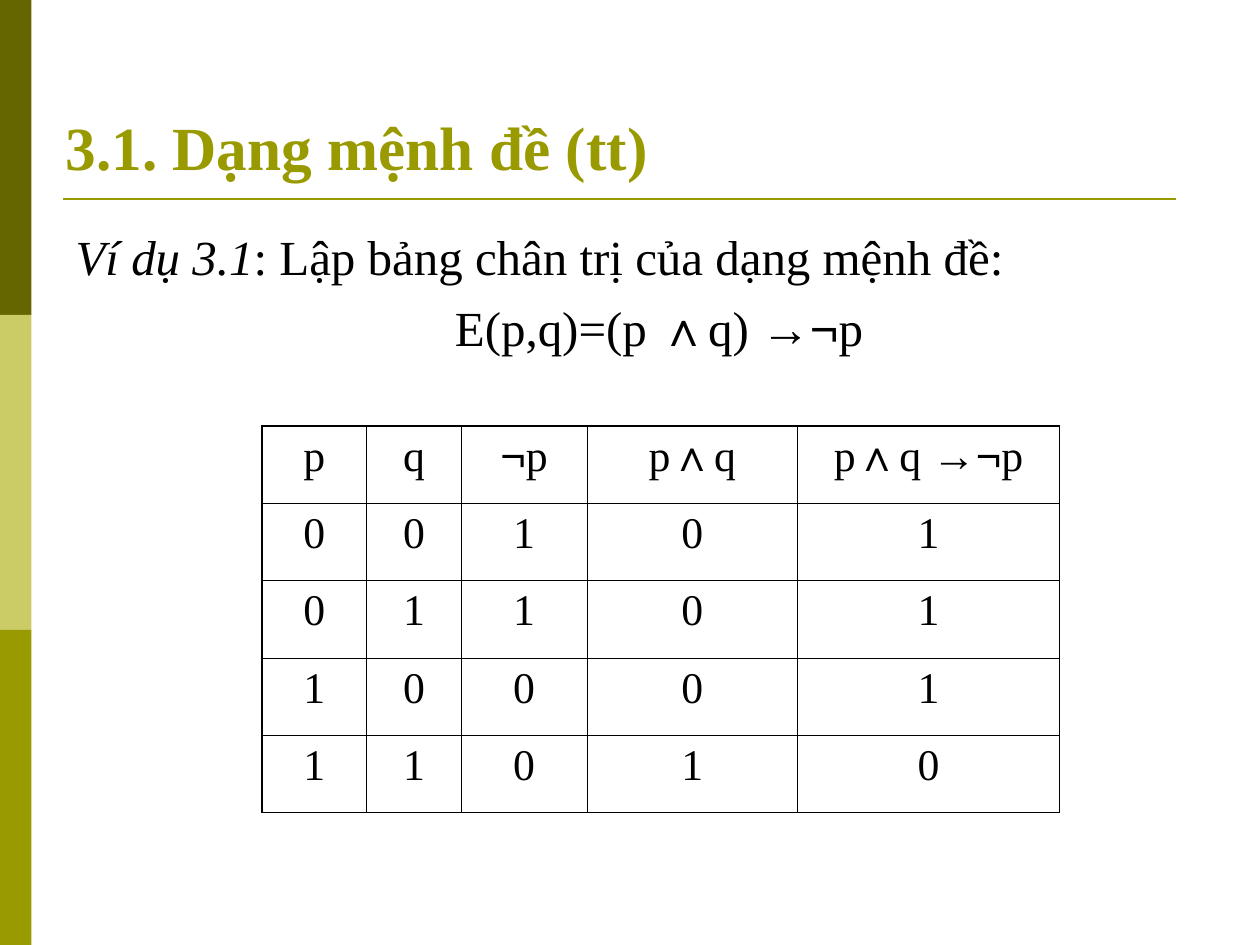
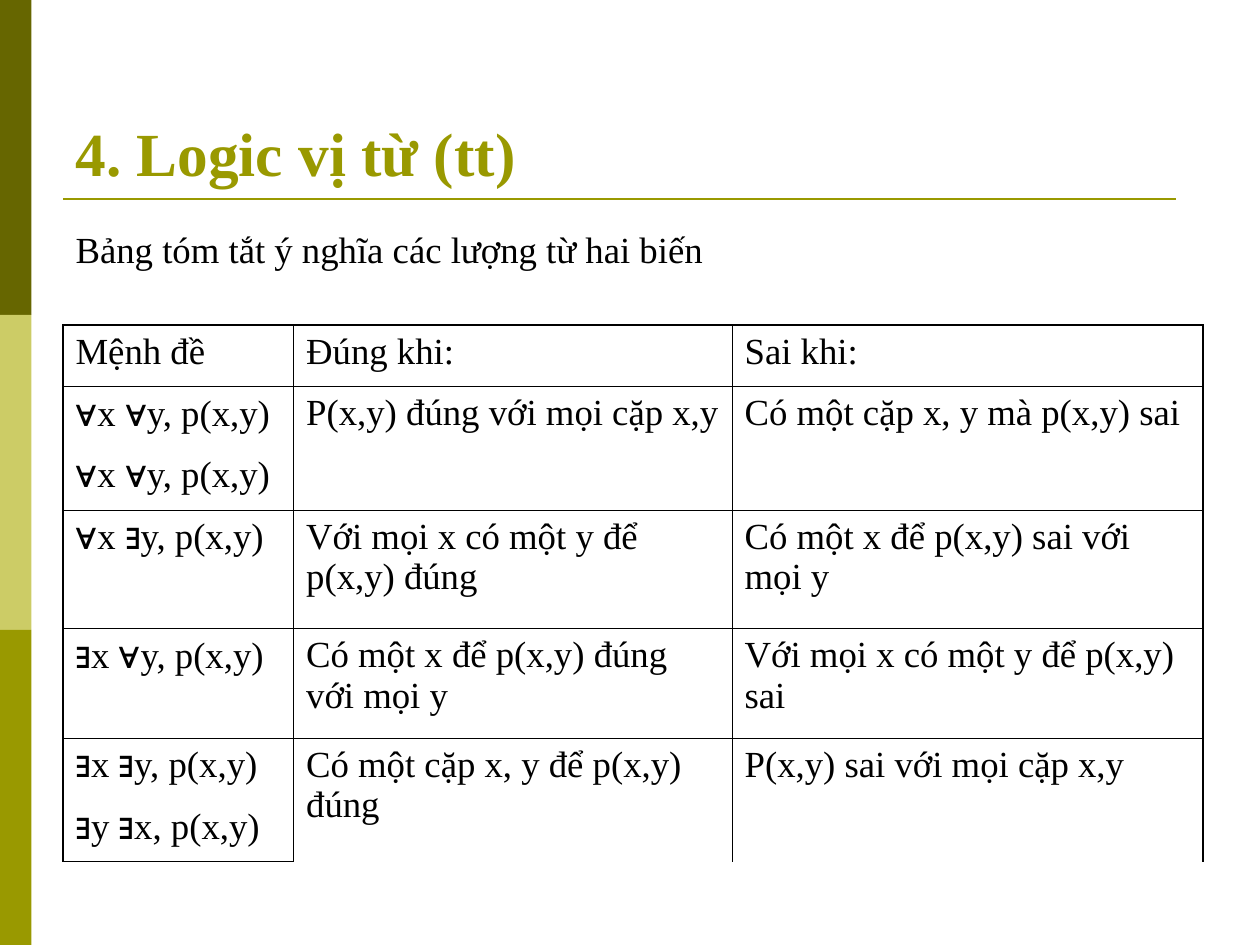
import dataclasses
import itertools

import pptx
import pptx.dml.color
import pptx.enum.shapes
import pptx.enum.text
import pptx.oxml
import pptx.oxml.ns
import pptx.util
from pptx.util import Inches

ALIGN = pptx.enum.text.PP_ALIGN
ANCHOR = pptx.enum.text.MSO_ANCHOR
SYMBOLS = "∧→¬∀∃"


@dataclasses.dataclass(frozen=True)
class Theme:
    text_font: str = "Times New Roman"
    symbol_font: str = "Arial"
    ink: str = "000000"
    accent: str = "999900"
    bands: tuple = ("666600", "CCCC66", "999900")
    title_size: float = 35
    example_size: float = 28
    truth_size: float = 25
    summary_size: float = 21
    space_ratio: float = 0.25
    rule_width: float = 1.5
    outer_border: float = 1.08
    inner_border: float = 0.45


THEME = Theme()


def rgb(code):
    return pptx.dml.color.RGBColor.from_string(code)


def write(para, text, size, color=THEME.ink, bold=False, italic=False):
    """Append text to the paragraph, with logic symbols in the symbol font."""
    for is_symbol, letters in itertools.groupby(text, lambda letter: letter in SYMBOLS):
        span = para.add_run()
        span.text = "".join(letters)
        span.font.name = THEME.symbol_font if is_symbol else THEME.text_font
        span.font.size = pptx.util.Pt(size)
        span.font.color.rgb = rgb(color)
        span.font.bold = bold
        span.font.italic = italic


def place(box, left, top, width, height):
    box.left, box.top = Inches(left), Inches(top)
    box.width, box.height = Inches(width), Inches(height)
    box.text_frame.word_wrap = True
    box.text_frame.auto_size = pptx.enum.text.MSO_AUTO_SIZE.NONE


def add_bands(page):
    height = 2.5
    for index, color in enumerate(THEME.bands):
        band = page.shapes.add_shape(
            pptx.enum.shapes.MSO_SHAPE.RECTANGLE,
            Inches(0), Inches(index * height), Inches(0.25), Inches(height))
        band.shadow.inherit = False
        band.fill.solid()
        band.fill.fore_color.rgb = rgb(color)
        band.line.fill.background()


def add_title_rule(page):
    rule = page.shapes.add_connector(
        pptx.enum.shapes.MSO_CONNECTOR.STRAIGHT,
        Inches(0.5), Inches(1.58), Inches(9.33), Inches(1.58))
    rule.line.color.rgb = rgb(THEME.accent)
    rule.line.width = pptx.util.Pt(THEME.rule_width)
    properties = rule._element.spPr
    properties.append(properties.makeelement(pptx.oxml.ns.qn("a:effectLst"), {}))


def add_page(deck, title, left, top):
    page = deck.slides.add_slide(deck.slide_layouts[1])
    add_bands(page)
    add_title_rule(page)
    box = page.shapes.title
    place(box, left, top, 9, 1.25)
    box.text_frame.vertical_anchor = ANCHOR.BOTTOM
    para = box.text_frame.paragraphs[0]
    para.alignment = ALIGN.LEFT
    write(para, title, THEME.title_size, THEME.accent, bold=True)
    return page


def add_body_line(para, size, parts, centered=False):
    """Fill one unbulleted line; parts are (text, italic) pairs."""
    para.alignment = ALIGN.CENTER if centered else ALIGN.LEFT
    para.space_before = pptx.util.Pt(size * THEME.space_ratio)
    properties = para._p.get_or_add_pPr()
    properties.set("marL", str(Inches(0.38)))
    properties.set("indent", str(Inches(0 if centered else -0.38)))
    properties.append(properties.makeelement(pptx.oxml.ns.qn("a:buNone"), {}))
    for text, italic in parts:
        write(para, text, size, italic=italic)


def set_border(cell, side, width):
    """Draw one side (L, R, T or B) of a cell; a width of 0 hides it."""
    fill = f'<a:solidFill><a:srgbClr val="{THEME.ink}"/></a:solidFill>' if width else "<a:noFill/>"
    cell._tc.get_or_add_tcPr().append(pptx.oxml.parse_xml(
        f'<a:ln{side} {pptx.oxml.ns.nsdecls("a")} w="{pptx.util.Pt(width)}">{fill}</a:ln{side}>'))


def add_grid(page, left, top, columns, heights, rows, size, alignment, joined_rows=()):
    """Add a ruled table; a joined row has no line between it and the row above."""
    frame = page.shapes.add_table(
        len(rows), len(columns), Inches(left), Inches(top),
        Inches(sum(columns)), Inches(sum(heights)))
    table = frame.table
    table.first_row = table.horz_banding = False
    for column, width in zip(table.columns, columns):
        column.width = Inches(width)
    for row, height in zip(table.rows, heights):
        row.height = Inches(height)

    def row_border(line):
        if line in (0, len(rows)):
            return THEME.outer_border
        return 0 if line in joined_rows else THEME.inner_border

    def column_border(line):
        return THEME.outer_border if line in (0, len(columns)) else THEME.inner_border

    for r, texts in enumerate(rows):
        for c, text in enumerate(texts):
            cell = table.cell(r, c)
            set_border(cell, "L", column_border(c))
            set_border(cell, "R", column_border(c + 1))
            set_border(cell, "T", row_border(r))
            set_border(cell, "B", row_border(r + 1))
            cell.fill.background()
            para = cell.text_frame.paragraphs[0]
            para.alignment = alignment
            para.space_before = pptx.util.Pt(size * THEME.space_ratio)
            write(para, text, size)
    return table


def add_truth_table_page(deck):
    page = add_page(deck, "3.1. Dạng mệnh đề (tt)", 0.42, 0.25)
    body = page.placeholders[1]
    place(body, 0.5, 1.75, 9.08, 1.5)
    add_body_line(body.text_frame.paragraphs[0], THEME.example_size, [
        ("Ví dụ 3.1", True), (": Lập bảng chân trị của dạng mệnh đề:", False)])
    add_body_line(body.text_frame.add_paragraph(), THEME.example_size,
                  [("E(p,q)=(p ∧q) →¬p", False)], centered=True)

    rows = [("p", "q", "¬p", "p∧q", "p∧q →¬p")]
    for p, q in itertools.product((0, 1), repeat=2):
        values = (p, q, 1 - p, p & q, 1 - (p & q & p))
        rows.append([str(value) for value in values])
    add_grid(page, 2.08, 3.38, (0.83, 0.75, 1, 1.67, 2.08), [0.614] * len(rows),
             rows, THEME.truth_size, ALIGN.CENTER)


def add_quantifier_page(deck):
    page = add_page(deck, "4. Logic vị từ (tt)", 0.5, 0.3)
    body = page.placeholders[1]
    place(body, 0.5, 1.75, 9.17, 0.67)
    add_body_line(body.text_frame.paragraphs[0], THEME.summary_size,
                  [("Bảng tóm tắt ý nghĩa các lượng từ hai biến", False)])

    rows = [
        ("Mệnh đề", "Đúng khi:", "Sai khi:"),
        ("∀x ∀y, p(x,y)", "P(x,y) đúng với mọi cặp x,y", "Có một cặp x, y mà p(x,y) sai"),
        ("∀x ∀y, p(x,y)", "", ""),
        ("∀x ∃y, p(x,y)", "Với mọi x có một y để p(x,y) đúng",
         "Có một x để p(x,y) sai với mọi y"),
        ("∃x ∀y, p(x,y)", "Có một x để p(x,y) đúng với mọi y",
         "Với mọi x có một y để p(x,y) sai"),
        ("∃x ∃y, p(x,y)", "Có một cặp x, y để p(x,y) đúng", "P(x,y) sai với mọi cặp x,y"),
        ("∃y ∃x, p(x,y)", "", ""),
    ]
    table = add_grid(page, 0.5, 2.58, (1.83, 3.48, 3.74),
                     (0.49, 0.49, 0.49, 0.94, 0.87, 0.49, 0.49),
                     rows, THEME.summary_size, ALIGN.LEFT, joined_rows=(2, 6))
    for row, column in ((1, 1), (5, 1), (5, 2)):
        table.cell(row, column).merge(table.cell(row + 1, column))


def main():
    deck = pptx.Presentation()
    deck.slide_width, deck.slide_height = Inches(10), Inches(7.5)
    add_truth_table_page(deck)
    add_quantifier_page(deck)
    deck.save("out.pptx")


if __name__ == "__main__":
    main()
